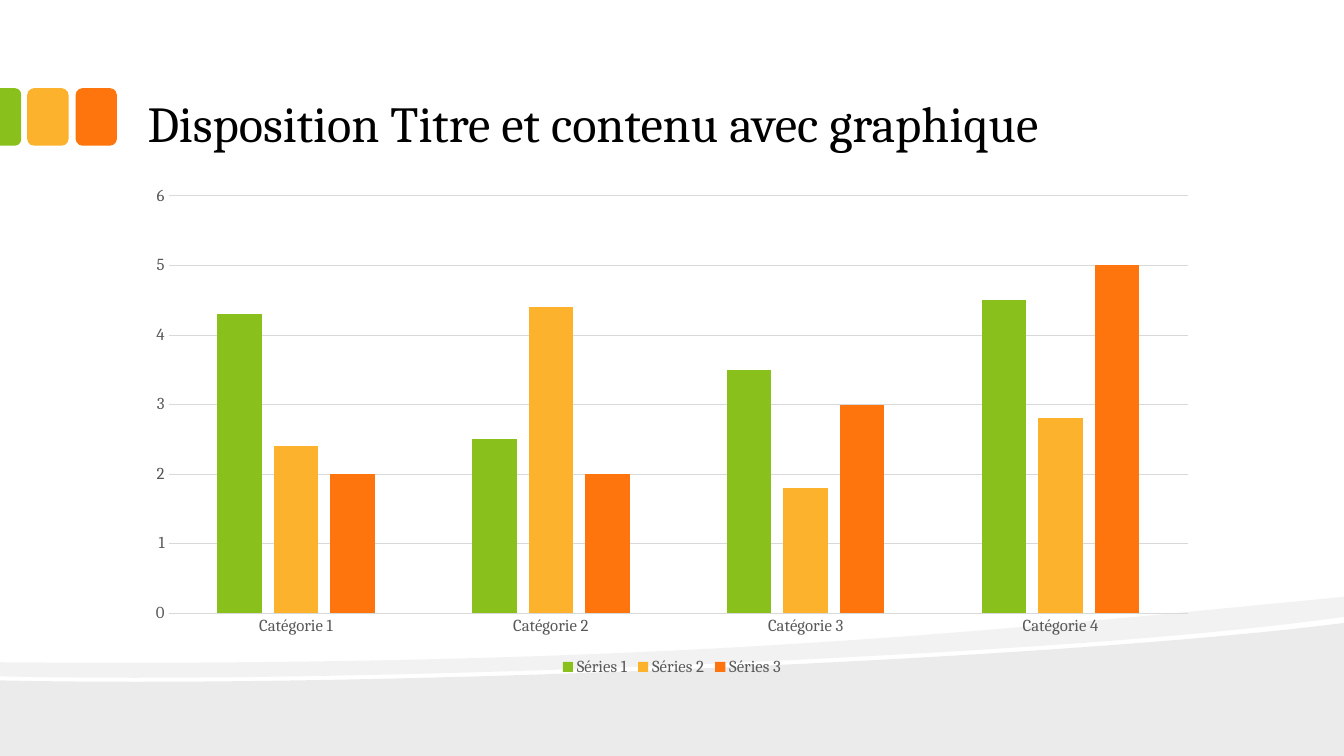
from lxml import etree
from pptx import Presentation
from pptx.chart.data import CategoryChartData
from pptx.dml.color import RGBColor
from pptx.enum.chart import XL_CHART_TYPE, XL_LEGEND_POSITION, XL_TICK_MARK
from pptx.enum.shapes import MSO_SHAPE
from pptx.enum.text import MSO_ANCHOR, PP_ALIGN
from pptx.oxml.ns import qn
from pptx.util import Inches, Pt

COLUMN = XL_CHART_TYPE.COLUMN_CLUSTERED
BOTTOM = XL_LEGEND_POSITION.BOTTOM
NO_TICK = XL_TICK_MARK.NONE
ROUND = MSO_SHAPE.ROUNDED_RECTANGLE
ROUND_TOP = MSO_SHAPE.ROUND_2_SAME_RECTANGLE

TITLE = "Disposition Titre et contenu avec graphique"
CATS = ["Catégorie 1", "Catégorie 2", "Catégorie 3", "Catégorie 4"]
SERIES = [
    ("Séries 1", "green", (4.3, 2.5, 3.5, 4.5)),
    ("Séries 2", "amber", (2.4, 4.4, 1.8, 2.8)),
    ("Séries 3", "orange", (2, 2, 3, 5)),
]
COLORS = {
    "green": "89C01C", "amber": "FCB22C", "orange": "FE750E",
    "black": "000000", "text": "595959", "grid": "D9D9D9",
}
FONT = "Cambria"
WIDE, HIGH = 40 / 3, 7.5
LEFT, BODY = WIDE / 10, WIDE * 0.8
TAB_TOP, TAB_W, TAB_H, STEP = 7 / 8, 0.41, 0.57, 0.48
CUT = 0.21

WAVES = [
    (8, [(WIDE, 6.18), (WIDE, HIGH), (0, HIGH), (0, 6.75),
         ((3.52, 6.83), (10.42, 6.55), (WIDE, 6.18))]),
    (5, [(WIDE, 5.92), (WIDE, 6.12),
         ((12.55, 6.23), (11.49, 6.33), (10.29, 6.41)),
         ((6.98, 6.63), (2.58, 6.77), (0, 6.71)), (0, 6.57),
         ((6.52, 6.62), (9.71, 6.27), (WIDE, 5.92))]),
]


def rgb(name):
    return RGBColor.from_string(COLORS[name])


def paint(shape, name):
    shape.shadow.inherit = False
    shape.fill.solid()
    shape.fill.fore_color.rgb = rgb(name)
    shape.line.fill.background()


def style(font, size, name):
    font.name = FONT
    font.size = Pt(size)
    font.color.rgb = rgb(name)


def bend(legs):
    curve = etree.Element(qn("a:cubicBezTo"))
    legs[0].addprevious(curve)
    for leg in legs:
        curve.append(leg[0])
        leg.getparent().remove(leg)


def add_wave(slide, alpha, parts):
    dots, bends = [], []
    for part in parts:
        if len(part) == 3:
            bends.append(len(dots) - 1)
            dots += part
        else:
            dots.append(part)
    dots = [(Inches(x), Inches(y)) for x, y in dots]
    pen = slide.shapes.build_freeform(*dots[0])
    pen.add_line_segments(dots[1:], close=True)
    pen.move_to(0, Inches(HIGH))
    pen.add_line_segments([(Inches(WIDE), Inches(HIGH))], close=True)
    wave = pen.convert_to_shape()
    paint(wave, "black")
    legs = list(wave._element.iter(qn("a:lnTo")))
    for i in bends:
        bend(legs[i:i + 3])
    tint = wave.fill._xPr.find(".//" + qn("a:srgbClr"))
    etree.SubElement(tint, qn("a:alpha")).set("val", str(alpha * 1000))


def add_tabs(slide):
    for i, (_, name, _) in reversed(list(enumerate(SERIES))):
        if i:
            tab = slide.shapes.add_shape(
                ROUND, Inches(0.27 + (i - 1) * STEP), Inches(TAB_TOP),
                Inches(TAB_W), Inches(TAB_H))
        else:
            tab = slide.shapes.add_shape(
                ROUND_TOP, Inches((CUT - TAB_H) / 2),
                Inches(TAB_TOP + (TAB_H - CUT) / 2),
                Inches(TAB_H), Inches(CUT))
            tab.rotation = 90
            tab.adjustments[0] = 0.29
        paint(tab, name)


def add_title(slide):
    box = slide.shapes.title
    box.left, box.top = Inches(LEFT), Inches(0.17)
    box.width, box.height = Inches(BODY), Inches(1.42)
    frame = box.text_frame
    frame.word_wrap = True
    frame.vertical_anchor = MSO_ANCHOR.BOTTOM
    frame.margin_left = frame.margin_right = Inches(0.13)
    frame.margin_top = frame.margin_bottom = Inches(0.07)
    para = frame.paragraphs[0]
    para.alignment = PP_ALIGN.LEFT
    para.line_spacing = 0.9
    run = para.add_run()
    run.text = TITLE
    style(run.font, 36, "black")


def add_graph(slide):
    data = CategoryChartData()
    data.categories = CATS
    for label, _, vals in SERIES:
        data.add_series(label, vals)
    chart = slide.shapes.add_chart(
        COLUMN, Inches(LEFT), Inches(1.75), Inches(BODY), Inches(5), data).chart
    style(chart.font, 10, "black")
    chart.has_title = False
    chart.has_legend = True
    chart.legend.position = BOTTOM
    chart.legend.include_in_layout = False
    style(chart.legend.font, 12, "text")
    plot = chart.plots[0]
    plot.gap_width, plot.overlap = 219, -27
    plot.vary_by_categories = False
    for bars, (_, name, _) in zip(plot.series, SERIES):
        bars.format.fill.solid()
        bars.format.fill.fore_color.rgb = rgb(name)
    cat, val = chart.category_axis, chart.value_axis
    for axis in (cat, val):
        axis.major_tick_mark = axis.minor_tick_mark = NO_TICK
        style(axis.tick_labels.font, 12, "text")
    val.has_major_gridlines = True
    val.format.line.fill.background()
    for line in (cat.format.line, val.major_gridlines.format.line):
        line.color.rgb = rgb("grid")
        line.width = Pt(0.75)


def main():
    deck = Presentation()
    deck.slide_width, deck.slide_height = Inches(WIDE), Inches(HIGH)
    slide = deck.slides.add_slide(deck.slide_layouts[5])
    for alpha, parts in WAVES:
        add_wave(slide, alpha, parts)
    add_tabs(slide)
    add_title(slide)
    add_graph(slide)
    deck.save("out.pptx")


if __name__ == "__main__":
    main()
